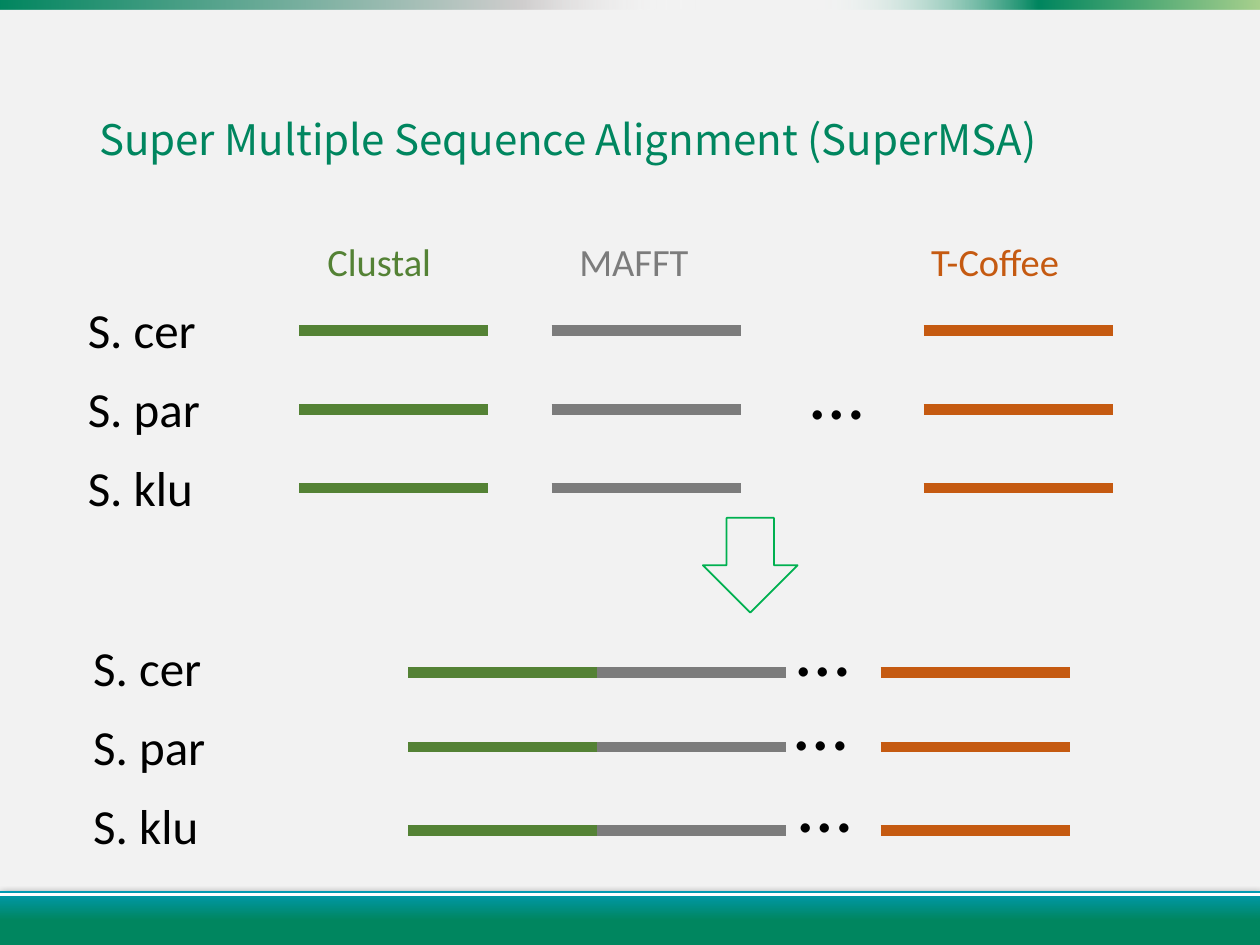
from dataclasses import dataclass

from lxml import etree
from pptx import Presentation
from pptx.dml.color import RGBColor
from pptx.enum.shapes import MSO_CONNECTOR, MSO_SHAPE
from pptx.enum.text import MSO_ANCHOR
from pptx.oxml.ns import qn
from pptx.util import Cm, Pt

LINE = MSO_CONNECTOR.STRAIGHT
RECT, DOWN_ARROW = MSO_SHAPE.RECTANGLE, MSO_SHAPE.DOWN_ARROW
TOP, MIDDLE = MSO_ANCHOR.TOP, MSO_ANCHOR.MIDDLE


@dataclass(frozen=True)
class Theme:
    background: str = "F2F2F2"
    text: str = "000000"
    white: str = "FFFFFF"
    brand: str = "00865F"
    teal: str = "009AB3"
    lime: str = "A9D18E"
    silver: str = "D0CECE"
    arrow: str = "00B050"
    clustal: str = "548235"
    mafft: str = "7C7C7C"
    tcoffee: str = "C55A11"
    title_font: str = "Noto Sans CJK TC"
    body_font: str = "Calibri"
    title_size: int = 24
    heading_size: int = 22
    label_size: int = 28
    dots_size: int = 44


class Deck:
    """Holds the theme and the current slide; all lengths are in cm."""

    def __init__(self, slide, theme):
        self.s, self.t = slide, theme
        fill = slide.background.fill
        fill.solid()
        fill.fore_color.rgb = RGBColor.from_string(theme.background)

    def text(self, x, y, w, h, words, size, color=None, font=None, anchor=TOP, spacing=None):
        tf = self.s.shapes.add_textbox(Cm(x), Cm(y), Cm(w), Cm(h)).text_frame
        tf.word_wrap = True
        tf.vertical_anchor = anchor
        p = tf.paragraphs[0]
        if spacing:
            p.line_spacing = spacing
        r = p.add_run()
        r.text = words
        r.font.size = Pt(size)
        r.font.name = font or self.t.body_font
        r.font.color.rgb = RGBColor.from_string(color or self.t.text)

    def line(self, x, y, length, color, width=6):
        c = self.s.shapes.add_connector(LINE, Cm(x), Cm(y), Cm(x + length), Cm(y))
        c.line.color.rgb = RGBColor.from_string(color)
        c.line.width = Pt(width)
        etree.SubElement(c._element.spPr, qn("a:effectLst"))

    def outline(self, kind, x, y, w, h, color):
        sp = self.s.shapes.add_shape(kind, Cm(x), Cm(y), Cm(w), Cm(h))
        sp.shadow.inherit = False
        sp.fill.background()
        sp.line.color.rgb = RGBColor.from_string(color)
        sp.line.width = Pt(1)

    def gradient_bar(self, x, y, w, h, stops, angle=0, shadow=False):
        """Each stop is (percent, colour, opacity percent)."""
        sp = self.s.shapes.add_shape(RECT, Cm(x), Cm(y), Cm(w), Cm(h))
        sp.shadow.inherit = False
        sp.line.fill.background()
        sp.fill.gradient()
        grad = sp._element.spPr.find(qn("a:gradFill"))
        gs_list = grad.find(qn("a:gsLst"))
        for gs in list(gs_list):
            gs_list.remove(gs)
        for percent, color, opacity in stops:
            gs = etree.SubElement(gs_list, qn("a:gs"), pos=str(percent * 1000))
            self.color_xml(gs, color, opacity)
        grad.find(qn("a:lin")).set("ang", str(angle * 60000))
        if shadow:
            effects = sp._element.spPr.find(qn("a:effectLst"))
            outer = etree.SubElement(effects, qn("a:outerShdw"), blurRad=str(Pt(4.5)),
                                     dist=str(Pt(1.5)), dir="5400000", rotWithShape="0")
            self.color_xml(outer, self.t.text, 63)

    def color_xml(self, parent, color, opacity):
        clr = etree.SubElement(parent, qn("a:srgbClr"), val=color)
        etree.SubElement(clr, qn("a:alpha"), val=str(opacity * 1000))


def main():
    t = Theme()
    prs = Presentation()
    prs.slide_width, prs.slide_height = Cm(25.4), Cm(19.05)
    deck = Deck(prs.slides.add_slide(prs.slide_layouts[6]), t)

    # Top and bottom bands
    deck.gradient_bar(16.46, 0, 8.94, 0.2,
                      [(0, t.white, 0), (50, t.brand, 100), (100, t.lime, 100)])
    deck.gradient_bar(-0.05, -0.12, 14.07, 0.32,
                      [(0, t.brand, 100), (75, t.silver, 100), (100, t.white, 0)])
    deck.gradient_bar(0, 17.96, 25.4, 1.19,
                      [(0, t.teal, 100), (50, t.brand, 100), (100, t.brand, 100)],
                      angle=90, shadow=True)
    deck.line(0, 18.03, 25.4, t.white, 1.5)

    # Title
    deck.text(1.75, 1.02, 21.9, 3.68, "Super Multiple Sequence Alignment (SuperMSA)",
              t.title_size, t.brand, t.title_font, MIDDLE, 0.9)

    # Aligner headings
    for name, x, width, color in [("Clustal", 6.35, 3.18, t.clustal),
                                  ("MAFFT", 11.43, 3.18, t.mafft),
                                  ("T-Coffee", 18.52, 4.01, t.tcoffee)]:
        deck.text(x, 4.67, width, 1.19, name, t.heading_size, color)

    # Separate alignments above, joined alignment below
    species = ["S. cer", "S. par", "S. klu"]
    colors = [t.clustal, t.mafft, t.tcoffee]
    pitch, bar = 1.59, 3.81
    blocks = [
        (1.52, 5.92, [6.03, 11.12, 18.62], [6.66, 8.25, 9.84]),
        (1.63, 12.73, [8.23, 8.23 + bar, 17.75], [13.56, 15.06, 16.74]),
    ]
    for label_x, label_y, columns, rows in blocks:
        for i, (name, y) in enumerate(zip(species, rows)):
            deck.text(label_x, label_y + i * pitch, 4.29, 1.46, name, t.label_size)
            for x, color in zip(columns, colors):
                deck.line(x, y, bar, color)

    # Ellipses for further aligners
    for x, y in [(16.08, 6.78), (15.8, 11.96), (15.77, 13.46), (15.85, 15.11)]:
        deck.text(x, y, 1.91, 2.13, "…", t.dots_size)

    # Arrow between the blocks
    deck.outline(DOWN_ARROW, 14.17, 10.44, 1.91, 1.91, t.arrow)

    prs.save("out.pptx")


if __name__ == "__main__":
    main()
